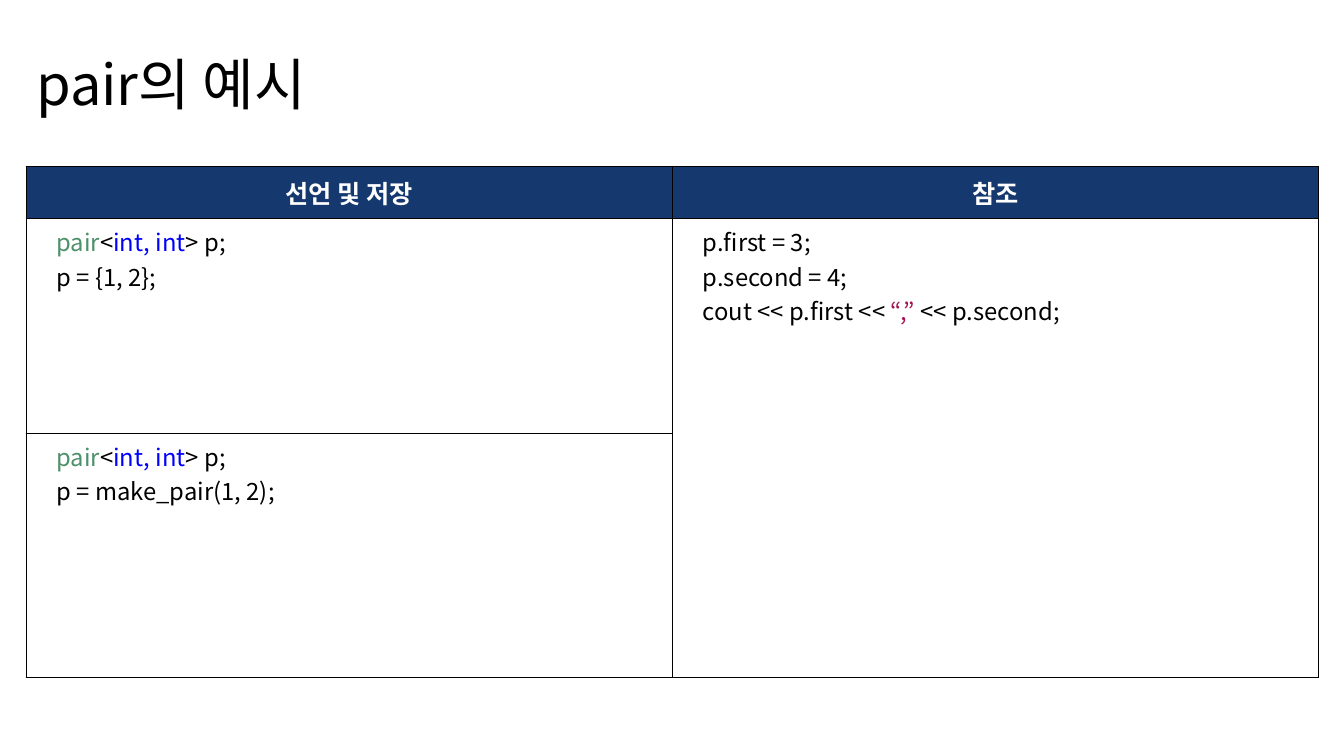
from lxml import etree
from pptx import Presentation
from pptx.dml.color import RGBColor
from pptx.enum import text
from pptx.oxml import ns
from pptx.util import Inches, Pt

# Content: each code line is a list of (words, colour) runs
TITLE = "pair의 예시"
HEADS = ["선언 및 저장", "참조"]
FONT = "Noto Sans CJK KR"
BLACK, WHITE, NAVY = "000000", "FFFFFF", "15396F"
GREEN, BLUE, RED = "4D906A", "0000FF", "A31552"
DECLARE = [("pair", GREEN), ("<", BLACK), ("int, int", BLUE), ("> p;", BLACK)]
CODE = {
    (1, 0): [DECLARE, [("p = {1, 2};", BLACK)]],
    (2, 0): [DECLARE, [("p = make_pair(1, 2);", BLACK)]],
    (1, 1): [
        [("p.first = 3;", BLACK)],
        [("p.second = 4;", BLACK)],
        [("cout << p.first << ", BLACK), ("“,”", RED), (" << p.second;", BLACK)],
    ],
}

# Layout in inches
WIDE, HIGH = 13.33, 7.5
LEFT, TOP = 0.26, 1.65
COL = 6.41
ROWS = [0.52, 2.13, 2.42]


def rgb(code):
    return RGBColor.from_string(code)


def style(para, size, color, bold=False):
    font = para.font
    font.name, font.size, font.bold = FONT, Pt(size), bold
    font.color.rgb = rgb(color)
    asian = etree.SubElement(para._p.pPr.find(ns.qn("a:defRPr")), ns.qn("a:ea"))
    asian.set("typeface", FONT)


def border(cell):
    props = cell._tc.get_or_add_tcPr()
    for side in "LRTB":
        line = etree.SubElement(props, ns.qn("a:ln" + side), w=str(Pt(1)))
        fill = etree.SubElement(line, ns.qn("a:solidFill"))
        etree.SubElement(fill, ns.qn("a:srgbClr"), val=BLACK)


def write(cell, lines):
    frame = cell.text_frame
    for i, line in enumerate(lines):
        para = frame.paragraphs[0] if i == 0 else frame.add_paragraph()
        para._p.get_or_add_pPr().set("marL", str(Inches(0.2)))
        style(para, 17, BLACK)
        for words, color in line:
            run = para.add_run()
            run.text = words
            if color != BLACK:
                run.font.color.rgb = rgb(color)


def main():
    deck = Presentation()
    deck.slide_width, deck.slide_height = Inches(WIDE), Inches(HIGH)
    slide = deck.slides.add_slide(deck.slide_layouts[5])

    # Title
    title = slide.shapes.title
    title.left, title.top = Inches(LEFT), Inches(0.44)
    title.width, title.height = Inches(8.7), Inches(0.76)
    frame = title.text_frame
    frame.text = TITLE
    frame.auto_size = text.MSO_AUTO_SIZE.NONE
    frame.vertical_anchor = text.MSO_ANCHOR.MIDDLE
    frame.paragraphs[0].alignment = text.PP_ALIGN.LEFT
    style(frame.paragraphs[0], 40, BLACK)

    # Table grid
    table = slide.shapes.add_table(
        len(ROWS), len(HEADS), Inches(LEFT), Inches(TOP),
        Inches(COL * len(HEADS)), Inches(sum(ROWS))).table
    table.horz_banding = False
    for col in table.columns:
        col.width = Inches(COL)
    for row, height in zip(table.rows, ROWS):
        row.height = Inches(height)
    for r in range(len(ROWS)):
        for c in range(len(HEADS)):
            cell = table.cell(r, c)
            border(cell)
            cell.fill.solid()
            cell.fill.fore_color.rgb = rgb(WHITE if r else NAVY)
    table.cell(1, 1).merge(table.cell(2, 1))

    # Header row
    for c, head in enumerate(HEADS):
        cell = table.cell(0, c)
        cell.text = head
        cell.vertical_anchor = text.MSO_ANCHOR.MIDDLE
        para = cell.text_frame.paragraphs[0]
        para.alignment = text.PP_ALIGN.CENTER
        style(para, 18, WHITE, True)

    # Code cells
    for (r, c), lines in CODE.items():
        write(table.cell(r, c), lines)

    deck.save("out.pptx")


if __name__ == "__main__":
    main()
